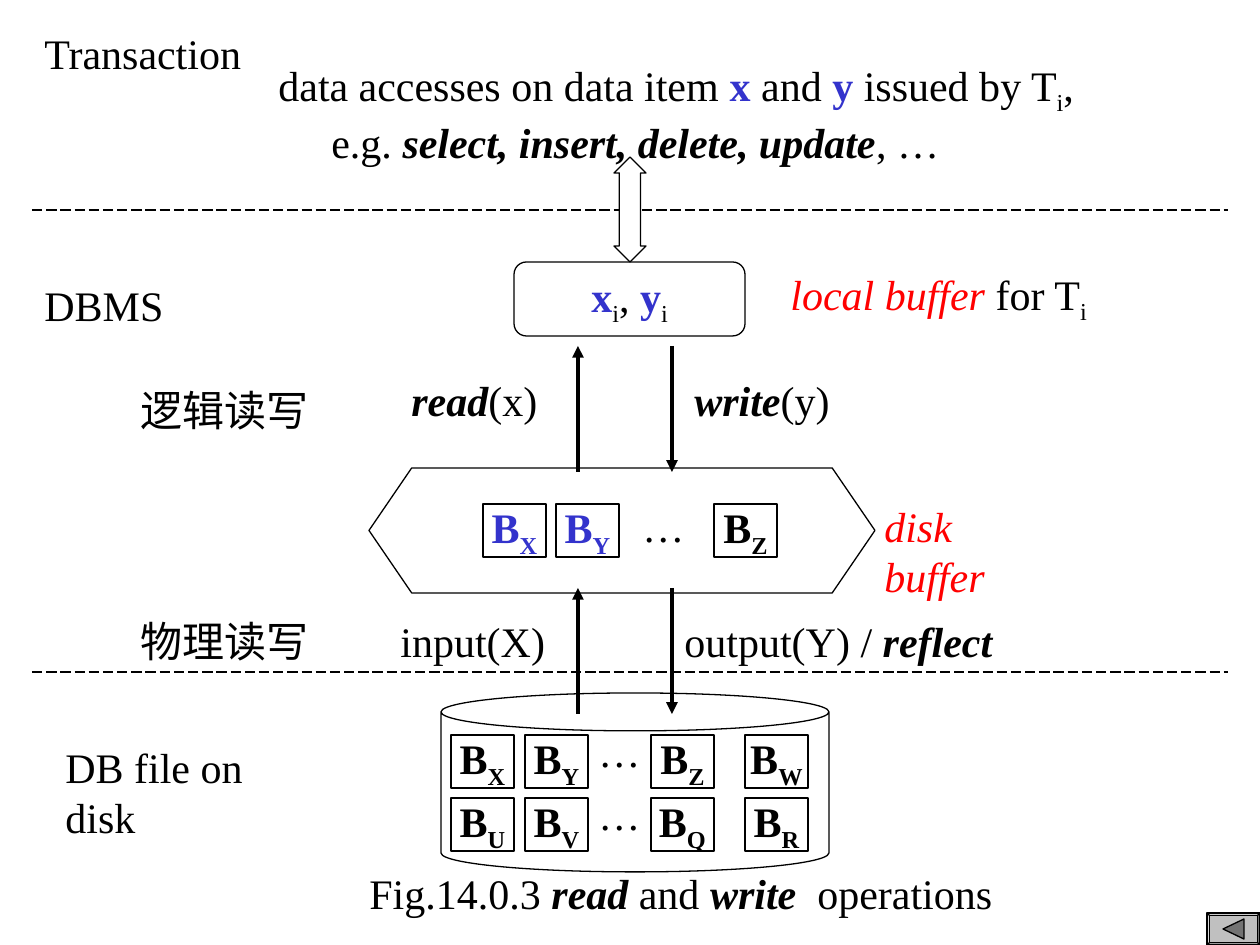
from pptx import Presentation
from pptx.dml.color import RGBColor
from pptx.enum.dml import MSO_LINE
from pptx.enum.shapes import MSO_CONNECTOR, MSO_SHAPE
from pptx.enum.text import MSO_ANCHOR, MSO_AUTO_SIZE, PP_ALIGN
from pptx.oxml.ns import qn
from pptx.util import Pt
from lxml.etree import SubElement

EMU_PER_PX = 914400 / 126
BLACK, WHITE, BLUE, RED = "000000", "FFFFFF", "3333CC", "FF0000"
SERIF, SANS = "Times New Roman", "Cabin"

# Run formats
KEYWORD = dict(bold=True, italic=True)
ITEM = dict(bold=True, color=BLUE)
BUFFER = dict(italic=True, color=RED)
SUB = dict(subscript=True)


def px(length):
    return round(length * EMU_PER_PX)


def rgb(hex_color):
    return RGBColor.from_string(hex_color)


def add_run(paragraph, text, font=SERIF, size=24, color=BLACK,
            bold=False, italic=False, subscript=False):
    run = paragraph.add_run()
    run.text = text
    run.font.name = font
    run.font.size = Pt(size)
    run.font.bold = bold
    run.font.italic = italic
    run.font.color.rgb = rgb(color)
    if subscript:
        run._r.get_or_add_rPr().set("baseline", "-25000")


def fill_paragraph(paragraph, runs, align=PP_ALIGN.LEFT, indent=0):
    """Each run is a plain string or a (string, format) pair."""
    paragraph.alignment = align
    if indent:
        paragraph._p.get_or_add_pPr().set("marL", str(px(indent)))
    for run in runs:
        text, style = (run, {}) if isinstance(run, str) else run
        add_run(paragraph, text, **style)


def add_label(slide, left, top, width, *lines, height=63, wrap=False, indents=(0,)):
    box = slide.shapes.add_textbox(px(left), px(top), px(width), px(height))
    frame = box.text_frame
    frame.word_wrap = wrap
    frame.auto_size = MSO_AUTO_SIZE.SHAPE_TO_FIT_TEXT
    for number, (runs, indent) in enumerate(zip(lines, indents)):
        paragraph = frame.add_paragraph() if number else frame.paragraphs[0]
        fill_paragraph(paragraph, runs, indent=indent)


def paint(shape, fill):
    shape.shadow.inherit = False
    if fill:
        shape.fill.solid()
        shape.fill.fore_color.rgb = rgb(fill)
    else:
        shape.fill.background()
    shape.line.color.rgb = rgb(BLACK)
    shape.line.width = Pt(0.75)


def add_node(slide, kind, left, top, width, height, runs=(), fill=WHITE, adjust=()):
    node = slide.shapes.add_shape(kind, px(left), px(top), px(width), px(height))
    paint(node, fill)
    for index, value in enumerate(adjust):
        node.adjustments[index] = value
    if runs:
        frame = node.text_frame
        frame.word_wrap = False
        frame.vertical_anchor = MSO_ANCHOR.MIDDLE
        fill_paragraph(frame.paragraphs[0], runs, align=PP_ALIGN.CENTER)


def add_block(slide, left, top, letter, color=BLACK):
    style = dict(bold=True, color=color)
    add_node(slide, MSO_SHAPE.RECTANGLE, left, top, 63, 53,
             [("B", style), (letter, style | SUB)], fill=None)


def add_line(slide, x1, y1, x2, y2, width=0.75, dash=None, arrow=False):
    line = slide.shapes.add_connector(
        MSO_CONNECTOR.STRAIGHT, px(x1), px(y1), px(x2), px(y2))
    line.line.color.rgb = rgb(BLACK)
    line.line.width = Pt(width)
    if dash:
        line.line.dash_style = dash
    if arrow:
        SubElement(line.line._get_or_add_ln(), qn("a:tailEnd"), type="triangle")
    SubElement(line._element.spPr, qn("a:effectLst"))


def add_back_button(slide):
    add_node(slide, MSO_SHAPE.BEVEL, 1207, 913, 53, 32, fill="C0C0C0", adjust=[0.08])
    outline = slide.shapes.build_freeform(px(1223), px(929))
    outline.add_line_segments([(px(1244), px(919)), (px(1244), px(939))])
    paint(outline.convert_to_shape(), "737373")


def main():
    prs = Presentation()
    prs.slide_width, prs.slide_height = px(1260), px(945)
    slide = prs.slides.add_slide(prs.slide_layouts[6])

    # Layer separators
    for y in (210, 672):
        add_line(slide, 32, y, 1228, y, dash=MSO_LINE.LONG_DASH)

    # Disk buffer, disk and local buffer
    add_node(slide, MSO_SHAPE.HEXAGON, 369, 468, 506, 125, adjust=[0.342, 1.155])
    add_node(slide, MSO_SHAPE.CAN, 441, 693, 388, 179, adjust=[0.212])
    add_node(slide, MSO_SHAPE.ROUNDED_RECTANGLE, 514, 262, 231, 74,
             [("x", ITEM), ("i", SUB), ", ", ("y", ITEM), ("i", SUB)],
             adjust=[0.167])

    # Layer names
    add_label(slide, 32, 21, 223, ["Transaction"])
    add_label(slide, 32, 273, 144, ["DBMS"])
    add_label(slide, 53, 735, 282, ["DB file on disk"])

    # Requests of the transaction
    add_label(slide, 256, 53, 842,
              ["data accesses on data item ", ("x", ITEM), " and ", ("y", ITEM),
               " issued by T", ("i", SUB), ","],
              ["e.g. ", ("select, insert, delete, update", KEYWORD), ", …"],
              height=121, indents=(10, 63))
    add_node(slide, MSO_SHAPE.UP_DOWN_ARROW, 614, 157, 32, 105, adjust=[0.5, 0.664])

    # Buffer names
    add_label(slide, 778, 262, 322, [("local buffer", BUFFER), " for T", ("i", SUB)],
              height=71)
    add_label(slide, 872, 494, 203, [("disk buffer", BUFFER)])

    # Transfers up and down between the stores
    for top, bottom in ((346, 472), (588, 714)):
        add_line(slide, 578, bottom, 578, top, width=2.25, arrow=True)
        add_line(slide, 672, top, 672, bottom, width=2.25, arrow=True)
    add_label(slide, 399, 368, 151, [("read", KEYWORD), "(x)"])
    add_label(slide, 682, 368, 179, [("write", KEYWORD), "(y)"], wrap=True)
    add_label(slide, 388, 609, 170, ["input(X)"], wrap=True)
    add_label(slide, 672, 609, 357, ["output(Y) / ", ("reflect", KEYWORD)], wrap=True)
    for top, level in ((378, "逻辑读写"), (609, "物理读写")):
        add_label(slide, 128, top, 193, [(level, dict(font=SANS))])

    # Blocks in the disk buffer
    for left, letter, color in ((483, "X", BLUE), (556, "Y", BLUE), (714, "Z", BLACK)):
        add_block(slide, left, 504, letter, color)
    add_label(slide, 630, 494, 67, ["…"])

    # Blocks on the disk
    for top, letters in ((735, "XYZW"), (798, "UVQR")):
        for left, letter in zip((451, 525, 651, 745), letters):
            add_block(slide, left, top, letter)
        add_label(slide, 586, top - 16, 67, ["…"])

    # Caption and navigation
    add_label(slide, 357, 861, 648,
              ["Fig.14.0.3 ", ("read", KEYWORD), " and ", ("write", KEYWORD),
               "  operations"])
    add_back_button(slide)

    prs.save("out.pptx")


if __name__ == "__main__":
    main()
